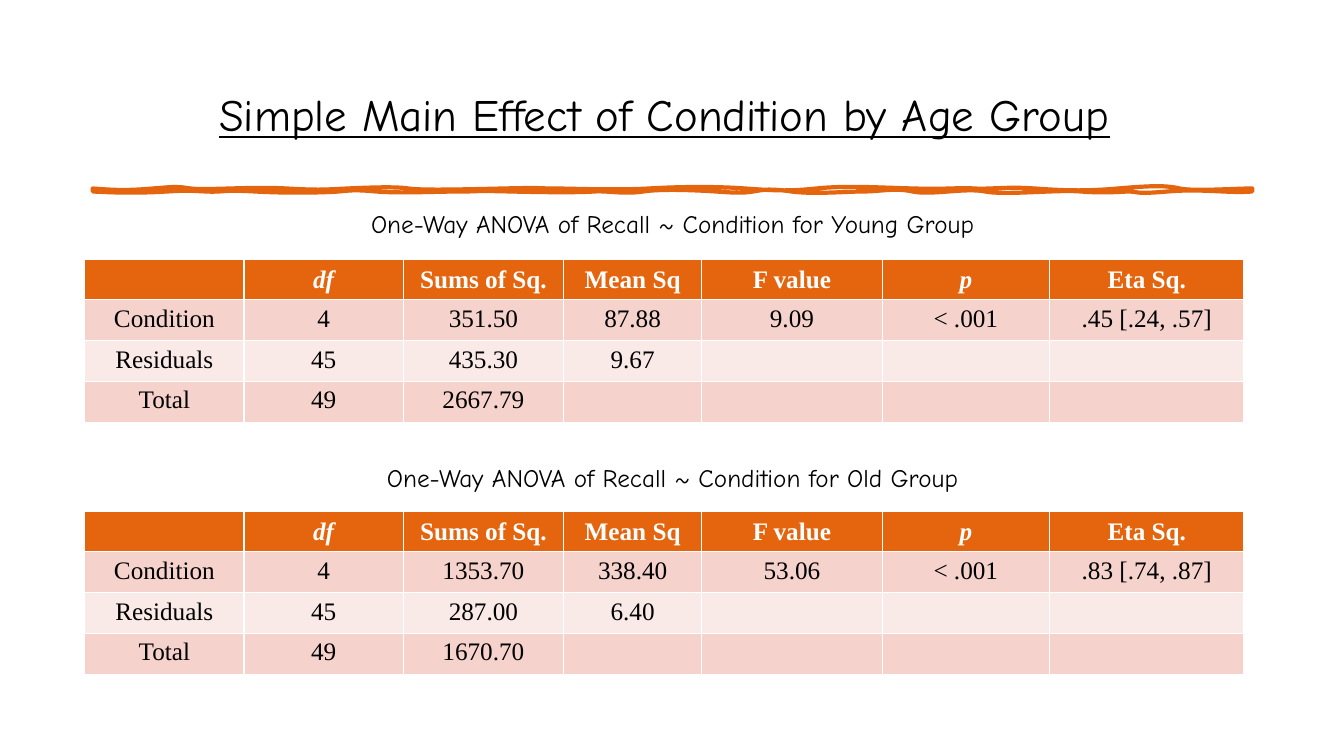
"""Build a slide with two ANOVA tables under a hand-drawn rule."""
from dataclasses import dataclass

from lxml import etree
from pptx import Presentation
from pptx.dml.color import RGBColor
from pptx.enum.text import MSO_ANCHOR, PP_ALIGN
from pptx.oxml.ns import qn
from pptx.util import Inches, Pt

CENTER = PP_ALIGN.CENTER
TOP, MIDDLE = MSO_ANCHOR.TOP, MSO_ANCHOR.MIDDLE


@dataclass(frozen=True)
class Theme:
    accent: str = "E4650E"
    band_dark: str = "F5D3CC"
    band_light: str = "FAEAE7"
    white: str = "FFFFFF"
    black: str = "000000"
    display_font: str = "Comic Neue"
    table_font: str = "Times New Roman"
    title_size: int = 32
    text_size: int = 18
    rule_width: int = 3


@dataclass(frozen=True)
class Anova:
    group: str
    caption_top: float
    table_top: float
    rows: tuple[tuple[str, ...], ...]


THEME = Theme()
LEFT, WIDTH, TABLE_HEIGHT = 0.84, 11.5, 1.62
COLUMN_WIDTHS = (1.58, 1.58, 1.59, 1.37, 1.79, 1.66, 1.93)
HEADERS = ("", "df", "Sums of Sq.", "Mean Sq", "F value", "p", "Eta Sq.")
SYMBOLS = ("df", "p")
ANOVAS = (
    Anova("Young", 2.02, 2.57, (
        ("Condition", "4", "351.50", "87.88", "9.09", "< .001", ".45 [.24, .57]"),
        ("Residuals", "45", "435.30", "9.67"),
        ("Total", "49", "2667.79"))),
    Anova("Old", 4.54, 5.07, (
        ("Condition", "4", "1353.70", "338.40", "53.06", "< .001", ".83 [.74, .87]"),
        ("Residuals", "45", "287.00", "6.40"),
        ("Total", "49", "1670.70"))),
)

RULE_START = (0.92, 1.87)
RULE_CURVES = (
    (1.17, 1.89, 1.28, 1.89, 1.52, 1.87), (1.76, 1.85, 1.75, 1.85, 1.89, 1.87),
    (2.04, 1.89, 2.49, 1.85, 2.84, 1.87), (3.19, 1.89, 3.23, 1.88, 3.45, 1.87),
    (3.67, 1.86, 3.92, 1.85, 4.05, 1.87), (4.18, 1.89, 4.58, 1.88, 5, 1.87),
    (5.42, 1.86, 5.3, 1.87, 5.49, 1.87), (5.67, 1.87, 6.09, 1.89, 6.44, 1.87),
    (6.78, 1.85, 7.11, 1.85, 7.39, 1.87), (7.66, 1.89, 7.82, 1.9, 8.1, 1.87),
    (8.39, 1.84, 8.69, 1.86, 9.05, 1.87), (9.42, 1.88, 9.5, 1.86, 9.66, 1.87),
    (9.82, 1.88, 9.98, 1.85, 10.26, 1.87), (10.54, 1.89, 10.75, 1.9, 11.09, 1.87),
    (11.44, 1.84, 11.57, 1.84, 11.7, 1.87), (11.83, 1.9, 12.26, 1.87, 12.42, 1.87),
    (12.42, 1.88, 12.42, 1.89, 12.42, 1.9), (12.19, 1.92, 11.93, 1.87, 11.58, 1.9),
    (11.24, 1.93, 11.29, 1.9, 11.21, 1.9), (11.13, 1.9, 10.96, 1.92, 10.72, 1.9),
    (10.48, 1.88, 9.97, 1.94, 9.77, 1.9), (9.57, 1.86, 9.24, 1.94, 9.05, 1.9),
    (8.87, 1.86, 8.74, 1.9, 8.56, 1.9), (8.39, 1.9, 8.07, 1.93, 7.85, 1.9),
    (7.63, 1.87, 7.59, 1.88, 7.47, 1.9), (7.36, 1.92, 7.25, 1.91, 7.1, 1.9),
    (6.94, 1.89, 6.57, 1.87, 6.38, 1.9), (6.19, 1.93, 6.01, 1.89, 5.89, 1.9),
    (5.77, 1.91, 5.46, 1.91, 5.06, 1.9), (4.65, 1.89, 4.79, 1.9, 4.57, 1.9),
    (4.34, 1.9, 3.96, 1.92, 3.73, 1.9), (3.51, 1.88, 3.48, 1.89, 3.36, 1.9),
    (3.24, 1.91, 2.87, 1.92, 2.53, 1.9), (2.18, 1.88, 2.23, 1.91, 2.04, 1.9),
    (1.84, 1.89, 1.84, 1.89, 1.66, 1.9), (1.49, 1.91, 1.27, 1.92, 0.92, 1.9),
    (0.92, 1.89, 0.92, 1.88, 0.92, 1.87),
)


def write_text(frame, text: str, *, font: str = THEME.display_font,
               size: int = THEME.text_size, color: str = THEME.black,
               bold: bool = False, italic: bool = False,
               underline: bool = False) -> None:
    """Write one centred paragraph in the given format."""
    para = frame.paragraphs[0]
    para.alignment = CENTER
    span = para.add_run()
    span.text = text
    span.font.name, span.font.size = font, Pt(size)
    span.font.color.rgb = RGBColor.from_string(color)
    span.font.bold, span.font.italic, span.font.underline = bold, italic, underline


def add_text(page, text: str, left: float, top: float, width: float,
             height: float, *, anchor=TOP, **style) -> None:
    """Add a wrapped text box."""
    box = page.shapes.add_textbox(Inches(left), Inches(top), Inches(width), Inches(height))
    box.text_frame.word_wrap = True
    box.text_frame.vertical_anchor = anchor
    write_text(box.text_frame, text, **style)


def bend_segments(shape, curves) -> None:
    """Turn the straight segments of a freeform into cubic curves."""
    segments = list(shape._element.iter(qn("a:lnTo")))
    for segment, curve in zip(segments, curves):
        segment.tag = qn("a:cubicBezTo")
        for child in list(segment):
            segment.remove(child)
        for x, y in zip(curve[::2], curve[1::2]):
            etree.SubElement(segment, qn("a:pt"), x=str(Inches(x) - shape.left),
                             y=str(Inches(y) - shape.top))


def add_rule(page) -> None:
    """Draw the hand-drawn rule below the title."""
    start_x, start_y = RULE_START
    builder = page.shapes.build_freeform(Inches(start_x), Inches(start_y))
    builder.add_line_segments(
        [(Inches(x), Inches(y)) for *_, x, y in RULE_CURVES], close=True)
    rule = builder.convert_to_shape()
    bend_segments(rule, RULE_CURVES)
    rule.shadow.inherit = False
    rule.fill.background()
    rule.line.color.rgb = RGBColor.from_string(THEME.accent)
    rule.line.width = Pt(THEME.rule_width)


def add_anova(page, anova: Anova) -> None:
    """Add one ANOVA table with its caption."""
    rows = (HEADERS, *anova.rows)
    table = page.shapes.add_table(
        len(rows), len(HEADERS), Inches(LEFT), Inches(anova.table_top),
        Inches(WIDTH), Inches(TABLE_HEIGHT)).table
    for column, width in zip(table.columns, COLUMN_WIDTHS):
        column.width = Inches(width)
    for row_index, row in enumerate(rows):
        header = row_index == 0
        band = THEME.band_dark if row_index % 2 else THEME.band_light
        for column_index in range(len(HEADERS)):
            cell = table.cell(row_index, column_index)
            cell.fill.solid()
            cell.fill.fore_color.rgb = RGBColor.from_string(THEME.accent if header else band)
            cell.vertical_anchor = MIDDLE if header else TOP
            text = row[column_index] if column_index < len(row) else ""
            if text:
                write_text(cell.text_frame, text, font=THEME.table_font,
                           color=THEME.white if header else THEME.black,
                           bold=header, italic=text in SYMBOLS)
    add_text(page, f"One-Way ANOVA of Recall ~ Condition for {anova.group} Group",
             3.14, anova.caption_top, 7.06, 0.4)


def main() -> None:
    """Build and save the deck."""
    deck = Presentation()
    deck.slide_width, deck.slide_height = Inches(13.33), Inches(7.5)
    page = deck.slides.add_slide(deck.slide_layouts[6])
    add_rule(page)
    add_text(page, "Simple Main Effect of Condition by Age Group", LEFT, 0.4, WIDTH, 1.45,
             anchor=MIDDLE, size=THEME.title_size, underline=True)
    for anova in ANOVAS:
        add_anova(page, anova)
    deck.save("out.pptx")


main()
